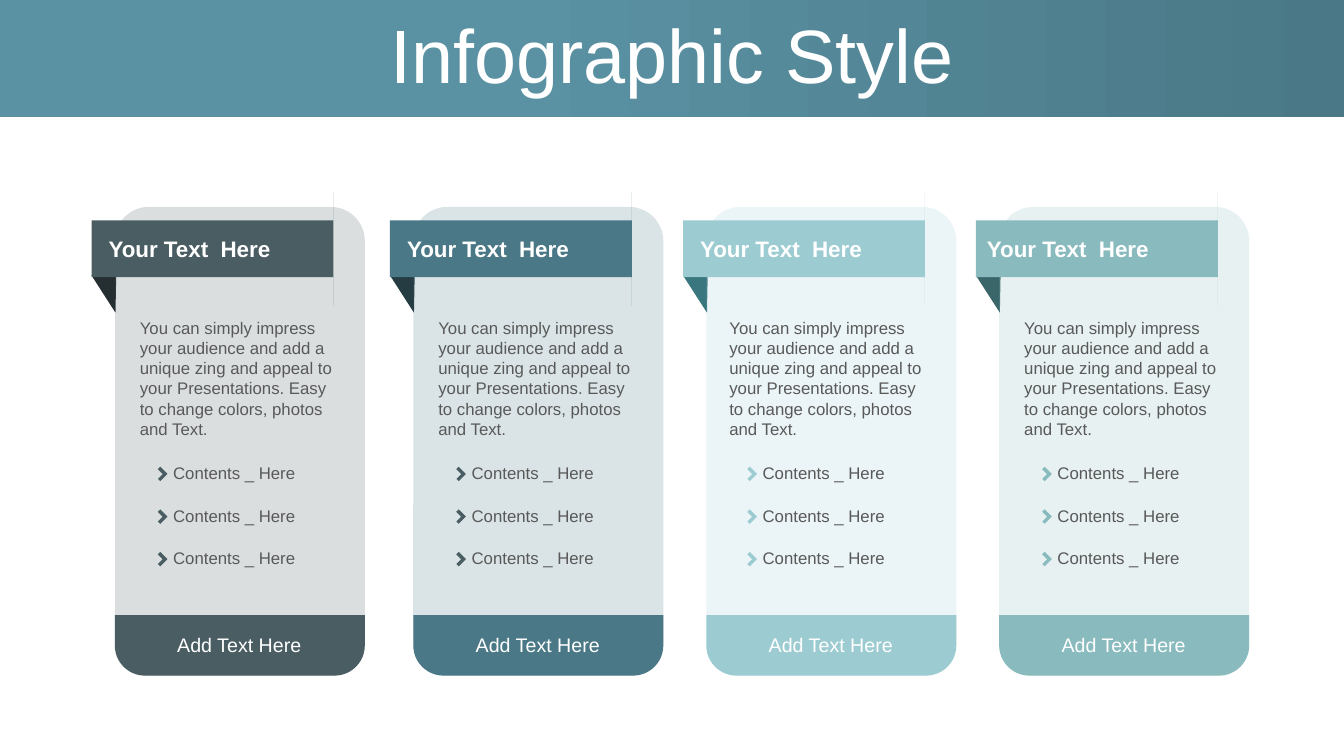
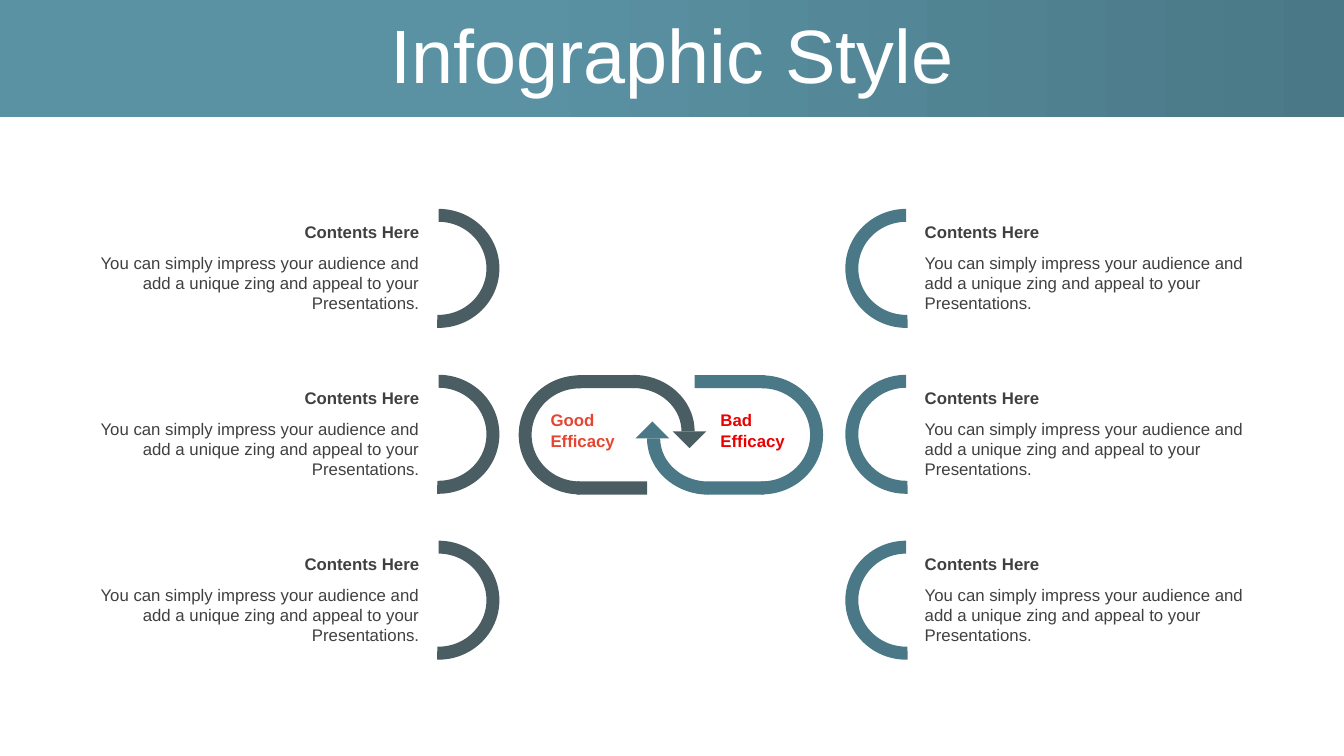
import math

from lxml import etree
from pptx import Presentation
from pptx.dml.color import RGBColor
from pptx.enum import shapes as sh, text as tx
from pptx.oxml import ns
from pptx.util import Pt

KIND = sh.MSO_SHAPE
CHEVRON = KIND.from_xml("corner")
SIDE = tx.PP_ALIGN
WIDE, HIGH = 960, 540
DARK, TEAL, SKY, MINT = "4A5D62", "4A7886", "9CCCD2", "88BABE"
WHITE, GREY, INK = "FFFFFF", "595959", "404040"
INSET = (7.2, 3.6, 7.2, 3.6)
PITCH = "You can simply impress your audience and add a unique zing and appeal to your Presentations."


def hue(code):
    return RGBColor.from_string(code)


def paint(shape, color, alpha=None):
    """Give a shape a plain fill, without line or shadow; alpha in percent."""
    shape.shadow.inherit = False
    shape.line.fill.background()
    shape.fill.solid()
    shape.fill.fore_color.rgb = hue(color)
    if alpha:
        tone = shape.element.spPr.find(".//" + ns.qn("a:srgbClr"))
        etree.SubElement(tone, ns.qn("a:alpha")).set("val", str(alpha * 1000))
    return shape


def draw(slide, kind, box, color, turn=0, adj=(), alpha=None):
    shape = slide.shapes.add_shape(kind, *map(Pt, box))
    for i, value in enumerate(adj):
        shape.adjustments[i] = value
    shape.rotation = turn
    return paint(shape, color, alpha)


def trace(slide, points, color):
    """Draw a closed outline through points."""
    first, *rest = [(Pt(x), Pt(y)) for x, y in points]
    pen = slide.shapes.build_freeform(*first)
    pen.add_line_segments(rest, close=True)
    return paint(pen.convert_to_shape(), color)


def write(slide, box, words, size, color, bold=False, side=SIDE.LEFT, inset=INSET):
    frame = slide.shapes.add_textbox(*map(Pt, box)).text_frame
    frame.word_wrap = True
    (frame.margin_left, frame.margin_top,
     frame.margin_right, frame.margin_bottom) = map(Pt, inset)
    frame.text = words
    for para in frame.paragraphs:
        para.alignment = side
        for run in para.runs:
            run.font.name = "Arial"
            run.font.size = Pt(size)
            run.font.bold = bold
            run.font.color.rgb = hue(color)
    return frame


def add_band(slide, layout):
    """Place the header band on the layout, behind every slide."""
    band = draw(slide, KIND.RECTANGLE, (0, 0, WIDE, 83.5), TEAL)
    band.fill.gradient()
    band.fill.gradient_angle = 0
    for stop, color, spot in zip(band.fill.gradient_stops, ("5A92A3", TEAL), (0.38, 1)):
        stop.color.rgb = hue(color)
        stop.position = spot
    layout.shapes.element.append(band.element)


def add_title(slide, words):
    frame = write(slide, (24.5, 13.7, 911.5, 56.9), words, 54, WHITE, side=SIDE.CENTER)
    frame.vertical_anchor = tx.MSO_ANCHOR.MIDDLE
    frame.paragraphs[0].line_spacing = 0.9


def add_card(slide, left, top, color, fold, mark, head=-11.5, body=10.8):
    """Draw a card with ribbon and foot; head and body are text offsets."""
    corners = ((-16.6, 49), (1, 49.5), (0.5, 75.6))
    trace(slide, [(left + x, top + y) for x, y in corners], fold)
    draw(slide, KIND.ROUNDED_RECTANGLE, (left, top, 178.6, 334.8), color,
         adj=(0.136,), alpha=20)
    draw(slide, KIND.ROUND_2_SAME_RECTANGLE, (left, top + 291.6, 178.6, 43.2), color,
         180, (0.5, 0))
    draw(slide, KIND.RIGHT_ARROW, (left - 16.6, top - 10.8, 172.8, 81.4), color,
         adj=(0.5, 0))
    write(slide, (left + head, top + 16.6, 152.6, 26.6), "Your Text  Here", 16, WHITE, True)
    write(slide, (left + body, top + 75.6, 154, 94.3),
          PITCH + " Easy to change colors, photos and Text.", 12, GREY)
    write(slide, (left + 34.6, top + 301, 108.7, 24.5), "Add Text Here", 14, WHITE,
          side=SIDE.CENTER)
    for i in range(3):
        y = top + 179.3 + 30.4 * i
        draw(slide, CHEVRON, (left + body + 18, y + 7.8, 7.3, 7.3), mark,
             225, (0.344, 0.318))
        write(slide, (left + body + 23.8, y, 117.4, 21.6), "Contents _ Here", 12, GREY)


def add_arc(slide, box, color, turn):
    return draw(slide, KIND.BLOCK_ARC, box, color, turn, (108, 0.851, 0.109))


def add_note(slide, left, top, side):
    for y, high, words, bold in ((6.6, 21.6, "Contents Here", True), (28.6, 51, PITCH, False)):
        write(slide, (left, top + y, 245, high), words, 12, INK, bold, side)


def add_hook(slide, midx, midy, color, sign):
    """Draw half of the linked pair; sign -1 turns it by 180 degrees."""
    spin = 0 if sign > 0 else 180
    thick, bendx, bendy = 9.4, -27, -2.5

    def box(x, y, wide, high):
        return midx + sign * x - wide / 2, midy + sign * y - high / 2, wide, high

    def curve(wide, high):
        angles = [math.radians(a) for a in range(0, 91, 5)]
        return [(midx + sign * (bendx + wide * math.sin(a)),
                 midy + sign * (bendy - high * math.cos(a))) for a in angles]

    add_arc(slide, box(-65.2, 0, 85, 87), color, 270 - spin)
    draw(slide, KIND.RECTANGLE, box(-46.4, -38, 40.3, thick), color)
    draw(slide, KIND.RECTANGLE, box(-42, 38, 50.2, thick), color)
    rim = curve(44, 40.3) + curve(44 - thick, 40.3 - thick)[::-1]
    trace(slide, rim, color)
    draw(slide, KIND.RIGHT_TRIANGLE, box(13.3, bendy, 17, 17), color, 315 - spin)


def fill_cards(slide):
    cards = (
        dict(left=82, color=DARK, fold="252E31", mark=DARK),
        dict(left=295.2, color=TEAL, fold="253C43", mark=DARK),
        dict(left=504.5, color=SKY, fold="39767E", mark=SKY, body=9.4),
        dict(left=713.7, color=MINT, fold="3A6669", mark=MINT, head=-15.8),
    )
    for card in cards:
        add_card(slide, top=147.8, **card)


def fill_links(slide):
    add_hook(slide, 479.2, 310.6, DARK, 1)
    add_hook(slide, 479.2, 310.6, TEAL, -1)
    for left, word, color in ((387.4, "Good", "E54632"), (508.8, "Bad", "EA0000")):
        write(slide, (left, 293, 68.4, 29), word + "\nEfficacy", 12, color, True,
              inset=(5.8, 0, 2.9, 0))
    for i in range(3):
        top = 148.2 + 118.5 * i
        add_note(slide, 61.6, top, SIDE.RIGHT)
        add_arc(slide, (270.7, top, 85, 87), DARK, 90)
        arc = add_arc(slide, (604.8, top, 85, 87), TEAL, 270)
        arc.element.spPr.find(ns.qn("a:xfrm")).set("flipH", "1")
        add_note(slide, 653.4, top, SIDE.LEFT)


def main():
    deck = Presentation()
    deck.slide_width, deck.slide_height = Pt(WIDE), Pt(HIGH)
    blank = deck.slide_layouts[6]
    for i, fill in enumerate((fill_cards, fill_links)):
        slide = deck.slides.add_slide(blank)
        if i == 0:
            add_band(slide, blank)
        add_title(slide, "Infographic Style")
        fill(slide)
    deck.save("out.pptx")


if __name__ == "__main__":
    main()
